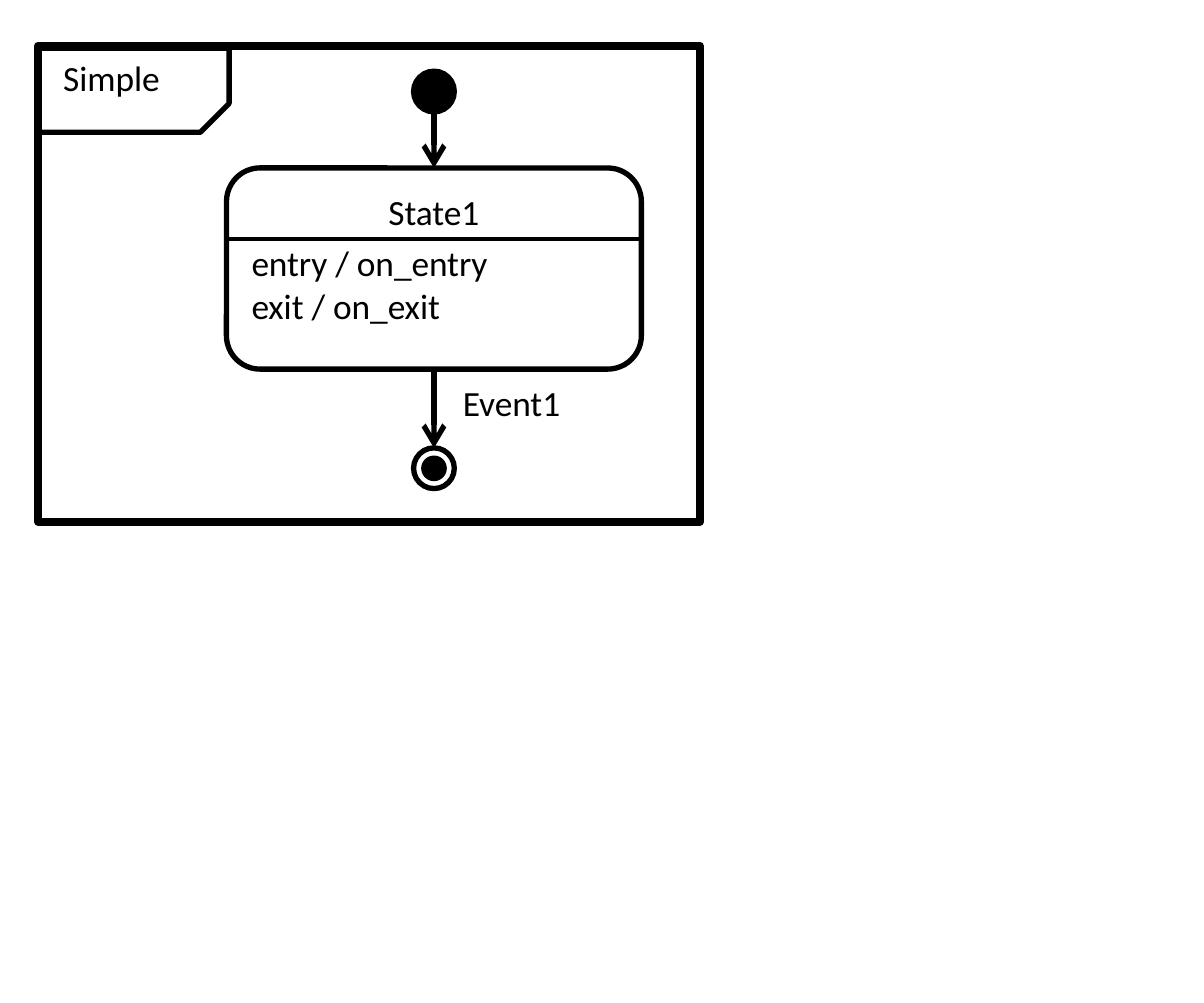
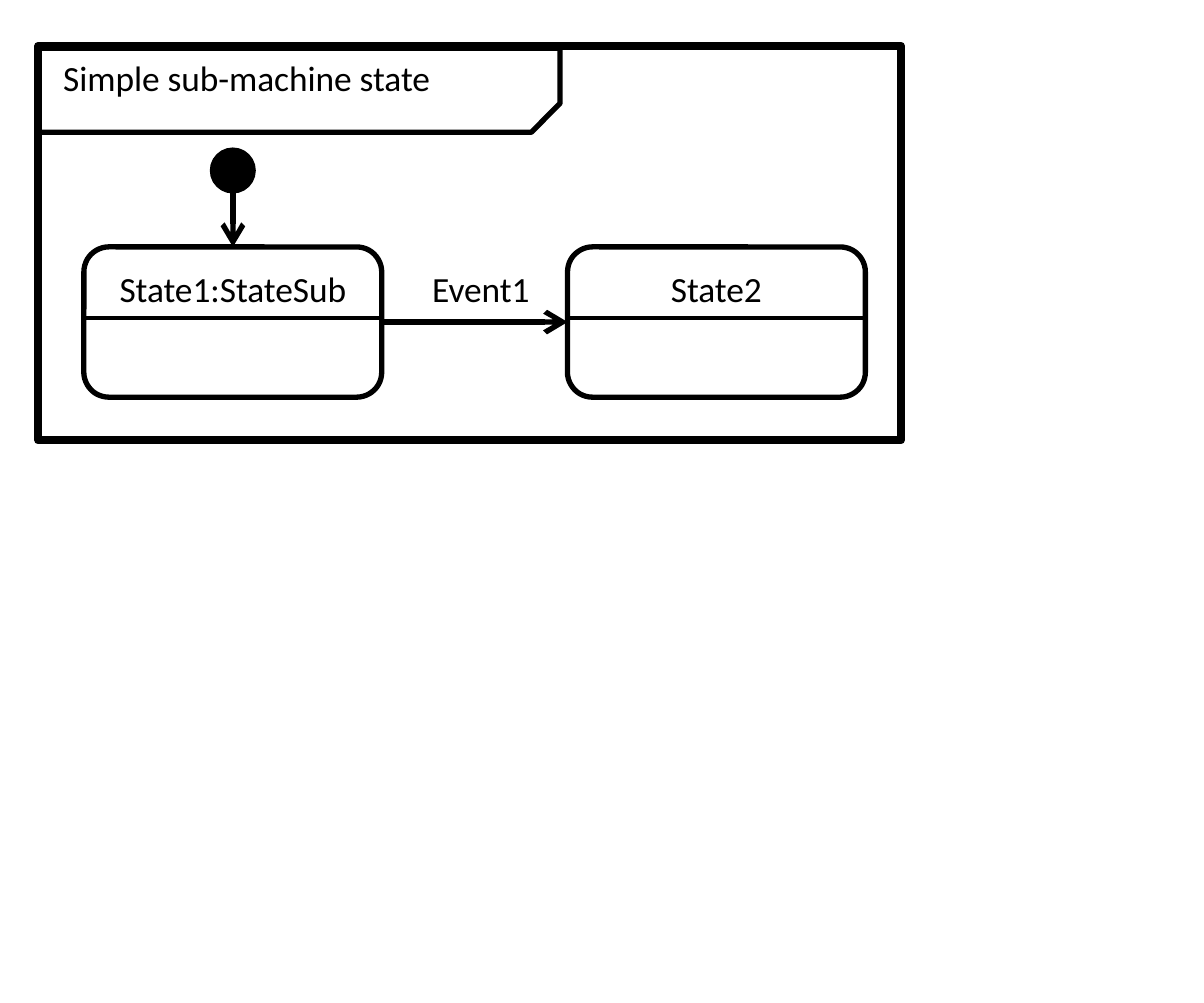
from dataclasses import dataclass

from lxml import etree
from pptx import Presentation
from pptx.dml.color import RGBColor
from pptx.enum import shapes, text
from pptx.oxml.ns import qn
from pptx.util import Inches, Pt

BLACK = RGBColor(0x00, 0x00, 0x00)
WHITE = RGBColor(0xFF, 0xFF, 0xFF)
FONT, FONT_SIZE = "Calibri", 10
THICK, MEDIUM, THIN = 2.25, 1.5, 1
FRAME_X, FRAME_Y = 0.15, 0.18
TAB_H = 0.33
DOT, CORE = 0.16, 0.08  # diameters of start and end markers
ARROW_IN = 0.22  # length of the arrow from the start marker
DIVIDER = 0.28  # depth of the line below a state's name
LABEL_H = 0.27


@dataclass(frozen=True)
class Frame:
    title: str
    w: float
    h: float
    tab_w: float


@dataclass(frozen=True)
class State:
    name: str
    x: float
    y: float
    w: float
    h: float
    actions: tuple[str, ...] = ()

    @property
    def cx(self) -> float:
        return self.x + self.w / 2

    @property
    def cy(self) -> float:
        return self.y + self.h / 2

    @property
    def right(self) -> float:
        return self.x + self.w

    @property
    def bottom(self) -> float:
        return self.y + self.h


# Basic elements
def add_shape(s, kind, x: float, y: float, w: float, h: float,
              width: float = MEDIUM, fill: RGBColor | None = None):
    sp = s.shapes.add_shape(kind, Inches(x), Inches(y), Inches(w), Inches(h))
    sp.shadow.inherit = False
    if fill is None:
        sp.fill.background()
    else:
        sp.fill.solid()
        sp.fill.fore_color.rgb = fill
    sp.line.color.rgb = BLACK
    sp.line.width = Pt(width)
    return sp


def add_line(s, x1: float, y1: float, x2: float, y2: float,
             width: float = MEDIUM, arrow: bool = False) -> None:
    line = s.shapes.add_connector(shapes.MSO_CONNECTOR.STRAIGHT, Inches(x1),
                                  Inches(y1), Inches(x2), Inches(y2))
    line.line.color.rgb = BLACK
    line.line.width = Pt(width)
    if arrow:
        ln = line.line._get_or_add_ln()
        etree.SubElement(ln, qn("a:tailEnd"), type="arrow")
    etree.SubElement(line._element.spPr, qn("a:effectLst"))


def write(tf, lines: tuple[str, ...], align) -> None:
    tf.word_wrap = True
    tf.vertical_anchor = text.MSO_ANCHOR.TOP
    for i, words in enumerate(lines):
        p = tf.paragraphs[0] if i == 0 else tf.add_paragraph()
        p.text = words
        p.alignment = align
        p.font.name = FONT
        p.font.size = Pt(FONT_SIZE)
        p.font.color.rgb = BLACK


def add_label(s, x: float, y: float, w: float, *lines: str,
              h: float = LABEL_H) -> None:
    box = s.shapes.add_textbox(Inches(x), Inches(y), Inches(w), Inches(h))
    write(box.text_frame, lines, text.PP_ALIGN.LEFT)


def add_dot(s, cx: float, cy: float, size: float, fill: RGBColor) -> None:
    add_shape(s, shapes.MSO_SHAPE.FLOWCHART_CONNECTOR, cx - size / 2,
              cy - size / 2, size, size, fill=fill)


# State machine parts
def add_frame(s, frame: Frame) -> None:
    add_shape(s, shapes.MSO_SHAPE.RECTANGLE, FRAME_X, FRAME_Y,
              frame.w, frame.h, THICK)
    # A quarter turn brings the snipped corner to the bottom right
    offset = (frame.tab_w - TAB_H) / 2
    tab = add_shape(s, shapes.MSO_SHAPE.SNIP_1_RECTANGLE, FRAME_X + offset,
                    0.19 - offset, TAB_H, frame.tab_w)
    tab.rotation = 90
    tab.adjustments[0] = 0.343
    add_label(s, FRAME_X, 0.17, frame.tab_w, frame.title)


def add_state(s, state: State) -> None:
    sp = add_shape(s, shapes.MSO_SHAPE.ROUNDED_RECTANGLE,
                   state.x, state.y, state.w, state.h)
    write(sp.text_frame, (state.name,), text.PP_ALIGN.CENTER)
    y = state.y + DIVIDER
    add_line(s, state.x, y, state.right, y, THIN)
    if state.actions:
        add_label(s, state.x, state.y + 0.24, state.w, *state.actions, h=0.44)


def add_start(s, state: State) -> None:
    top = state.y - ARROW_IN
    add_line(s, state.cx, top, state.cx, state.y, arrow=True)
    add_dot(s, state.cx, top - DOT / 2, DOT, BLACK)


def add_end(s, state: State, length: float) -> None:
    top = state.bottom + length
    add_dot(s, state.cx, top + DOT / 2, DOT, WHITE)
    add_dot(s, state.cx, top + DOT / 2, CORE, BLACK)
    add_line(s, state.cx, state.bottom, state.cx, top, arrow=True)


# Slides
def simple_slide(s) -> None:
    state = State("State1", 0.89, 0.66, 1.63, 0.79,
                  ("entry / on_entry", "exit / on_exit"))
    add_frame(s, Frame("Simple", 2.6, 1.87, 0.75))
    add_state(s, state)
    add_start(s, state)
    add_end(s, state, 0.31)
    add_label(s, 1.72, 1.45, 0.79, "Event1")


def submachine_slide(s) -> None:
    first, second = (State(name, x, 0.97, 1.17, 0.59) for name, x in
                     (("State1:StateSub", 0.33), ("State2", 2.23)))
    add_frame(s, Frame("Simple sub-machine state", 3.39, 1.55, 2.05))
    add_state(s, first)
    add_state(s, second)
    add_start(s, first)
    add_line(s, first.right, first.cy, second.x, second.cy, arrow=True)
    add_label(s, 1.6, 1, 0.73, "Event1")


def main() -> None:
    prs = Presentation()
    prs.slide_width, prs.slide_height = Inches(4.73), Inches(3.94)
    for draw in (simple_slide, submachine_slide):
        draw(prs.slides.add_slide(prs.slide_layouts[6]))
    prs.save("out.pptx")


if __name__ == "__main__":
    main()
